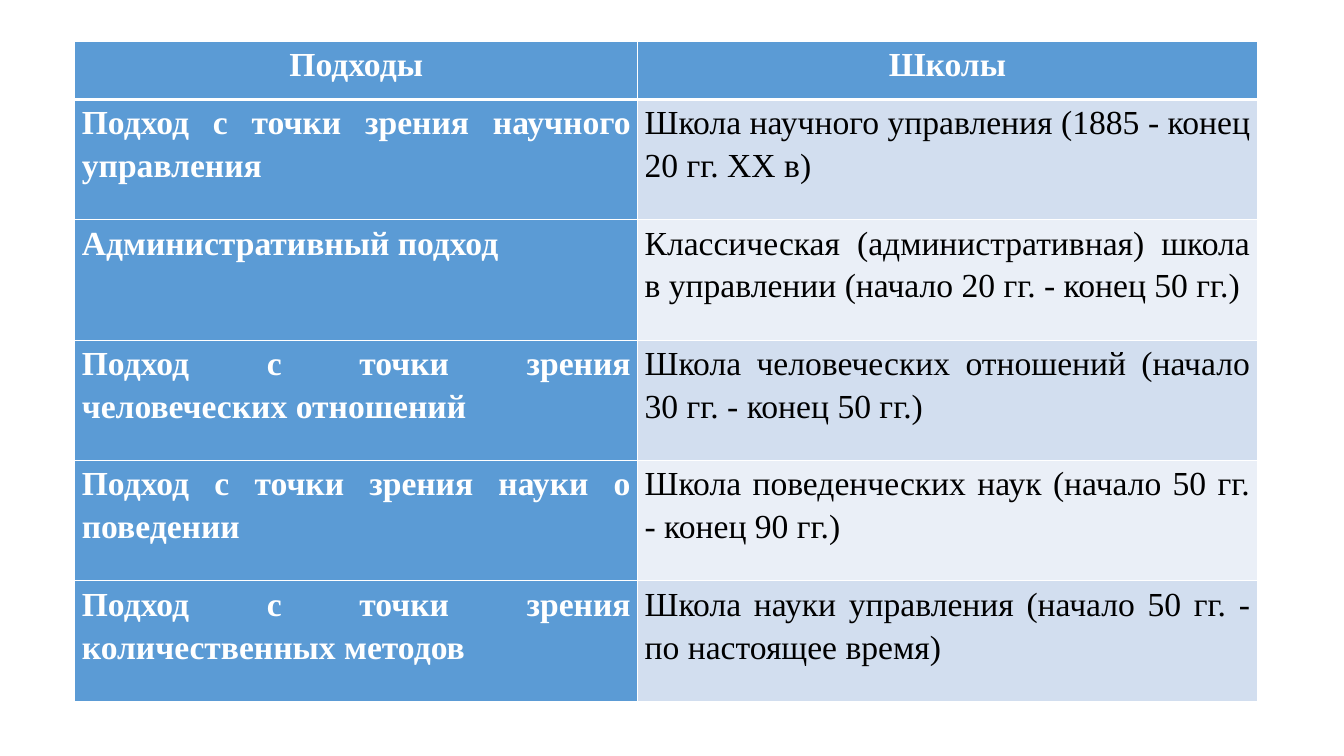
from lxml import etree
from pptx import Presentation
from pptx import util as u
from pptx.dml.color import RGBColor
from pptx.enum import text
from pptx.oxml import ns

PX = 6350
FONT = "Times New Roman"
WHITE = RGBColor(0xFF, 0xFF, 0xFF)
BLACK = RGBColor(0x00, 0x00, 0x00)
BLUE = RGBColor(0x5B, 0x9B, 0xD5)
BAND_DARK = RGBColor(0xD2, 0xDE, 0xEF)
BAND_LIGHT = RGBColor(0xEA, 0xEF, 0xF7)

COLUMN_WIDTHS = (804, 885)
HEADER_HEIGHT = 83
ROW_HEIGHT = 172
ROWS = (
    ("Подходы", "Школы"),
    ("Подход с точки зрения научного управления",
     "Школа научного управления (1885 - конец 20 гг. XX в)"),
    ("Административный подход",
     "Классическая (административная) школа в управлении "
     "(начало 20 гг. - конец 50 гг.)"),
    ("Подход с точки зрения человеческих отношений",
     "Школа человеческих отношений (начало 30 гг. - конец 50 гг.)"),
    ("Подход с точки зрения науки о поведении",
     "Школа поведенческих наук (начало 50 гг. - конец 90 гг.)"),
    ("Подход с точки зрения количественных методов",
     "Школа науки управления (начало 50 гг. - по настоящее время)"),
)


def px(length):
    return u.Emu(length * PX)


def set_borders(cell, top, bottom):
    properties = cell._tc.get_or_add_tcPr()
    for side, width in (("L", 1), ("R", 1), ("T", top), ("B", bottom)):
        line = etree.SubElement(properties, ns.qn(f"a:ln{side}"), w=str(u.Pt(width)))
        fill = etree.SubElement(line, ns.qn("a:solidFill"))
        etree.SubElement(fill, ns.qn("a:srgbClr"), val=str(WHITE))


def write_cell(cell, wording, align, color, bold):
    cell.margin_left = cell.margin_right = px(10)
    cell.margin_top = cell.margin_bottom = 0
    cell.text = wording
    paragraph = cell.text_frame.paragraphs[0]
    paragraph.alignment = align
    paragraph.line_spacing = 1.15
    font = paragraph.font
    font.name = FONT
    font.size = u.Pt(24)
    font.bold = bold
    font.color.rgb = color


def fill_cell(cell, color):
    cell.fill.solid()
    cell.fill.fore_color.rgb = color


def add_schools_table(slide, left, top):
    heights = [HEADER_HEIGHT] + [ROW_HEIGHT] * (len(ROWS) - 1)
    table = slide.shapes.add_table(
        len(ROWS), len(COLUMN_WIDTHS), px(left), px(top),
        px(sum(COLUMN_WIDTHS)), px(sum(heights))).table
    for column, width in zip(table.columns, COLUMN_WIDTHS):
        column.width = px(width)
    for i, (height, wordings) in enumerate(zip(heights, ROWS)):
        table.rows[i].height = px(height)
        align = text.PP_ALIGN.JUSTIFY if i else text.PP_ALIGN.CENTER
        band = BAND_DARK if i % 2 else BAND_LIGHT
        for j, wording in enumerate(wordings):
            cell = table.cell(i, j)
            strong = i == 0 or j == 0
            write_cell(cell, wording, align, WHITE if strong else BLACK, strong)
            set_borders(cell, top=3 if i == 1 else 1, bottom=3 if i == 0 else 1)
            fill_cell(cell, BLUE if strong else band)


def main():
    presentation = Presentation()
    presentation.slide_width = px(1920)
    presentation.slide_height = px(1080)
    slide = presentation.slides.add_slide(presentation.slide_layouts[6])
    add_schools_table(slide, left=107, top=59)
    presentation.save("out.pptx")


if __name__ == "__main__":
    main()
